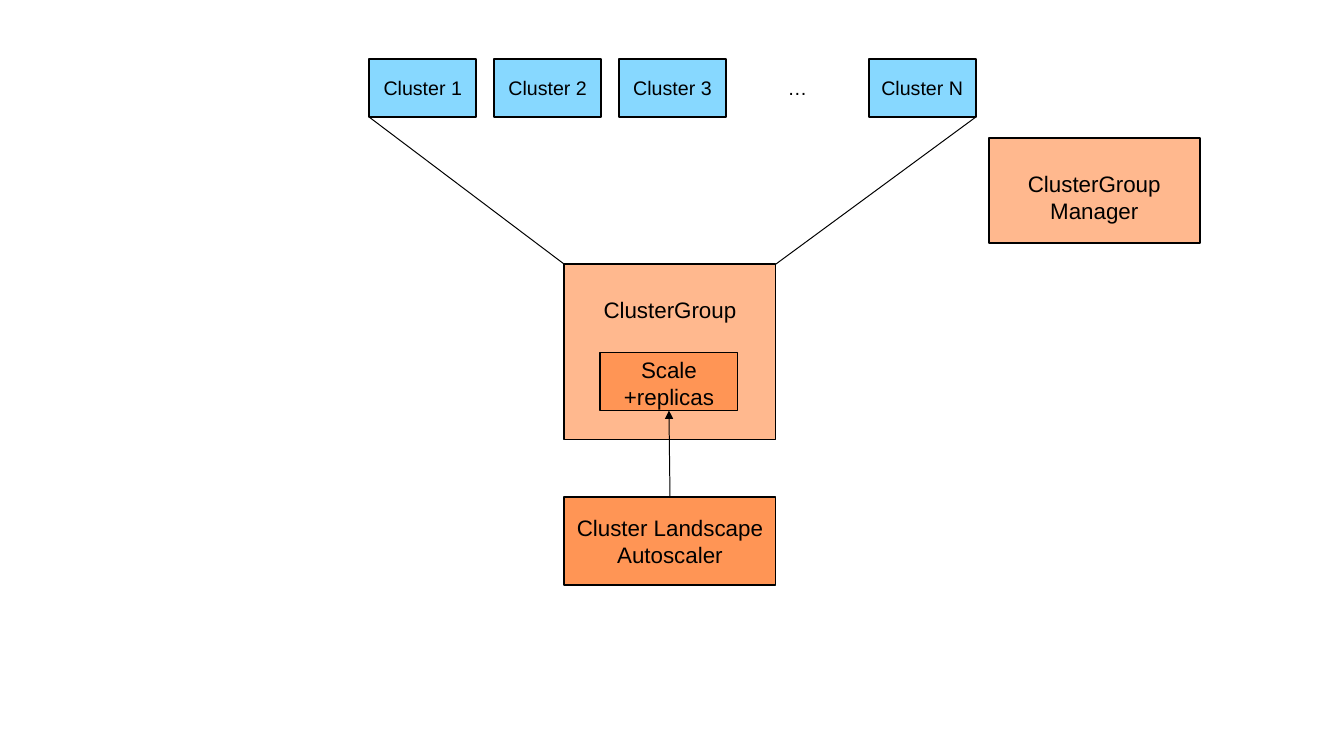
import pptx
import pptx.util
import pptx.dml.color
import pptx.enum.shapes
import pptx.enum.text
import lxml.etree
from pptx.oxml.ns import qn

PIXEL = 914400 / 100.7
COLORS = {"cluster": "87D8FF", "group": "FFB88E", "scaling": "FF9555", "ink": "000000"}
MIDDLE = pptx.enum.text.MSO_ANCHOR.MIDDLE
TOP = pptx.enum.text.MSO_ANCHOR.TOP


def emu(pixels):
    return round(pixels * PIXEL)


def rgb(name):
    return pptx.dml.color.RGBColor.from_string(COLORS[name])


def write_label(shape, text, size, anchor=MIDDLE, margin_top=4):
    frame = shape.text_frame
    frame.word_wrap = True
    frame.vertical_anchor = anchor
    frame.margin_left = frame.margin_right = frame.margin_bottom = emu(4)
    frame.margin_top = emu(margin_top)
    frame.text = text
    for para in frame.paragraphs:
        para.alignment = pptx.enum.text.PP_ALIGN.CENTER
        for span in para.runs:
            span.font.name = "Arial"
            span.font.size = pptx.util.Pt(size)
            span.font.color.rgb = rgb("ink")


def add_box(page, box, text, fill, size=16, **layout):
    shape = page.shapes.add_shape(
        pptx.enum.shapes.MSO_SHAPE.RECTANGLE, *map(emu, box))
    shape.shadow.inherit = False
    shape.fill.solid()
    shape.fill.fore_color.rgb = rgb(fill)
    shape.line.color.rgb = rgb("ink")
    shape.line.width = pptx.util.Pt(1.4)
    write_label(shape, text, size, **layout)
    return shape


def add_line(page, start, end):
    line = page.shapes.add_connector(
        pptx.enum.shapes.MSO_CONNECTOR.STRAIGHT, *map(emu, start + end))
    line.line.color.rgb = rgb("ink")
    line.line.width = pptx.util.Pt(0.7)
    lxml.etree.SubElement(line._element.spPr, qn("a:effectLst"))
    return line


def add_clusters(page, box):
    left, top, width, height = box
    labels = ["Cluster 1", "Cluster 2", "Cluster 3", "…", "Cluster N"]
    cluster_width = 107
    pitch = (width - cluster_width) / (len(labels) - 1)
    for index, label in enumerate(labels):
        place = (left + index * pitch, top, cluster_width, height)
        if label == "…":
            write_label(page.shapes.add_textbox(*map(emu, place)), label, 14)
        else:
            add_box(page, place, label, "cluster", 14)


def add_cluster_group(page, box):
    left, top, width, height = box
    add_box(page, box, "ClusterGroup", "group", anchor=TOP, margin_top=32)
    return add_box(page, (left + 36, top + 88, 137, 58), "Scale\n+replicas",
                   "scaling", anchor=TOP)


def add_fan(page, group, clusters):
    group_left, group_top, group_width, _ = group
    left, top, width, height = clusters
    bottom = top + height
    add_line(page, (group_left, group_top), (left, bottom))
    add_line(page, (group_left + group_width, group_top), (left + width, bottom))


def add_autoscaler(page, box, scale):
    autoscaler = add_box(page, box, "Cluster Landscape Autoscaler", "scaling")
    arrow = add_line(page, (0, 0), (0, 0))
    arrow.begin_connect(autoscaler, 0)
    arrow.end_connect(scale, 2)
    lxml.etree.SubElement(arrow.line._get_or_add_ln(), qn("a:tailEnd"), type="triangle")


def add_manager(page, box):
    add_box(page, box, "ClusterGroup Manager", "group", anchor=TOP, margin_top=32)


deck = pptx.Presentation()
deck.slide_width = emu(1343)
deck.slide_height = emu(755)
page = deck.slides.add_slide(deck.slide_layouts[6])

clusters = (369, 59, 606, 58)
group = (564, 264, 211, 175)
scale = add_cluster_group(page, group)
add_fan(page, group, clusters)
add_autoscaler(page, (564, 496, 211, 88), scale)
add_clusters(page, clusters)
add_manager(page, (988, 138, 211, 105))

deck.save("out.pptx")
